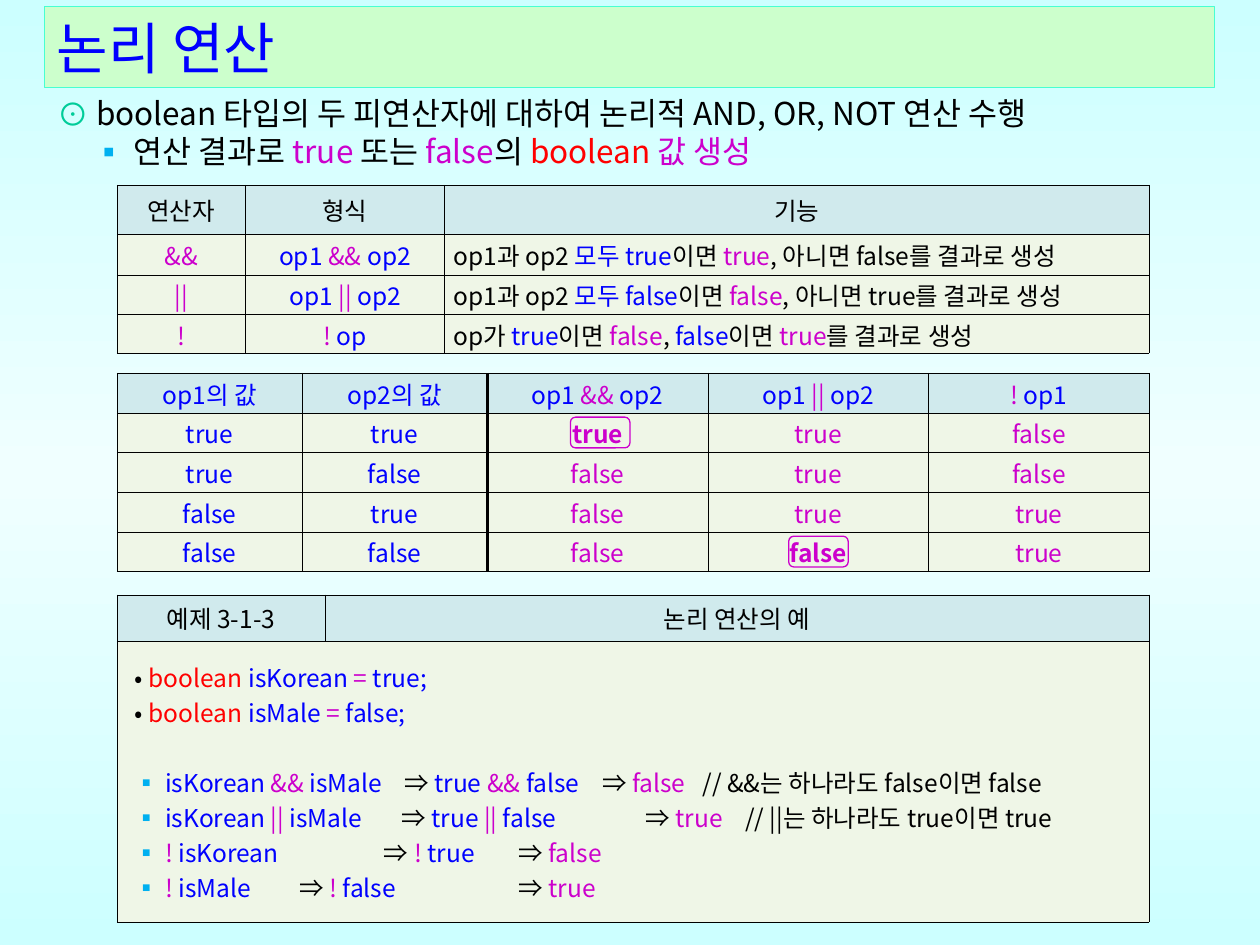
"""Build the lesson slide on logical operators."""
from dataclasses import dataclass
from functools import partial
from typing import NamedTuple, Optional

from lxml.etree import SubElement
from pptx import Presentation
from pptx.dml.color import RGBColor
from pptx.enum.shapes import MSO_SHAPE
from pptx.enum.text import MSO_ANCHOR, MSO_AUTO_SIZE, PP_ALIGN
from pptx.oxml.ns import qn
from pptx.util import Cm, Pt

LEFT, CENTER, JUSTIFY = PP_ALIGN.LEFT, PP_ALIGN.CENTER, PP_ALIGN.JUSTIFY
MIDDLE = MSO_ANCHOR.MIDDLE
NO_AUTOFIT = MSO_AUTO_SIZE.NONE
ROUNDED = MSO_SHAPE.ROUNDED_RECTANGLE


@dataclass(frozen=True)
class Theme:
    font: str = "Noto Sans CJK KR"
    title_size: int = 32
    body_size: int = 18
    table_size: int = 14
    black: str = "000000"
    blue: str = "0000FF"
    magenta: str = "CC00CC"
    red: str = "FF0000"
    green: str = "00CC99"
    sky: str = "00B0F0"
    title_fill: str = "CCFFCC"
    title_line: str = "47FFD1"
    header_fill: str = "D0EAED"
    cell_fill: str = "EFF6E7"
    background: tuple = ("CCFFFF", "F0FFFF", "CCFFFF")
    thin: float = 0.25
    thick: float = 2


THEME = Theme()


class Run(NamedTuple):
    color: str
    text: str
    bold: bool = False


class Bullet(NamedTuple):
    char: str
    color: str
    margin: float
    hanging: float


class Line(NamedTuple):
    runs: list
    align: PP_ALIGN = LEFT
    bullet: Optional[Bullet] = None
    tabs: tuple = ()
    spacing: Optional[int] = None
    before: int = 0


class TableSpec(NamedTuple):
    top: float
    columns: list
    rows: list
    cells: list
    thick_after: Optional[int] = None


black, blue, magenta, red = (
    partial(Run, color) for color in (THEME.black, THEME.blue, THEME.magenta, THEME.red))
DOT = Bullet("•", THEME.black, 0.46, 0.28)
SQUARE = Bullet("▪", THEME.sky, 0.79, 0.61)
TABLE_LEFT = 2.36
TRUTH_TOP, TRUTH_ROW = 7.52, 0.8

BODY = [
    Line([black("boolean 타입의 두 피연산자에 대하여 논리적 AND, OR, NOT 연산 수행")],
         bullet=Bullet("⊙", THEME.green, 0.78, 0.78), spacing=22),
    Line([black("연산 결과로 "), magenta("true "), black("또는 "), magenta("false"),
          black("의 "), red("boolean "), magenta("값 생성")],
         bullet=Bullet("▪", THEME.sky, 1.54, 0.81), spacing=22),
]


def centered(*runs: Run) -> list:
    return [Line(list(runs), CENTER)]


def binary(operator: str) -> list:
    return centered(blue("op1 "), magenta(operator), blue(" op2"))


def rule(operator: str, value: str, other: str) -> list:
    meaning = [black("op1과 op2 "), blue(f"모두 {value}"), black("이면 "), magenta(value),
               black(f", 아니면 {other}를 결과로 생성")]
    return [centered(magenta(operator)), binary(operator), [Line(meaning)]]


def truth_row(first: bool, second: bool) -> list:
    word = {True: "true", False: "false"}
    both, either = first and second, first or second
    return [centered(blue(word[first])), centered(blue(word[second])),
            centered(magenta(word[both], both)),
            centered(magenta(word[either], not either)),
            centered(magenta(word[not first]))]


def declaration(name: str, value: str) -> Line:
    return Line([red("boolean "), blue(f"{name} "), magenta("="), blue(f" {value};")],
                JUSTIFY, DOT, spacing=20)


def evaluation(source: list, step: list, result: str, tabs: tuple,
               note: str = "", before: int = 0) -> Line:
    runs = [*source, black("\t⇒ "), *step, black("\t⇒ "), magenta(result)]
    if note:
        runs.append(black(f"\t{note}"))
    return Line(runs, LEFT, SQUARE, tabs, 20, before)


EXAMPLE = [
    declaration("isKorean", "true"),
    declaration("isMale", "false"),
    evaluation([blue("isKorean "), magenta("&&"), blue(" isMale")],
               [blue("true"), magenta(" && "), blue("false")], "false",
               (5.61, 9.6, 11.62), "// &&는 하나라도 false이면 false", 20),
    evaluation([blue("isKorean "), magenta("||"), blue(" isMale")],
               [blue("true "), magenta("||"), blue(" false")], "true",
               (5.55, 10.47, 12.48), "// ||는 하나라도 true이면 true"),
    evaluation([magenta("! "), blue("isKorean")], [magenta("! "), blue("true")],
               "false", (5.2, 7.91)),
    evaluation([magenta("!"), blue(" isMale")], [magenta("!"), blue(" false")],
               "true", (3.49, 7.91)),
]

OPERATORS = TableSpec(3.73, [2.59, 4.01, 14.2], [0.99, 0.82, 0.79, 0.79], [
    [centered(black(name)) for name in ("연산자", "형식", "기능")],
    rule("&&", "true", "false"),
    rule("||", "false", "true"),
    [centered(magenta("!")), centered(magenta("! "), blue("op")),
     [Line([black("op가 "), blue("true"), black("이면 "), magenta("false"), black(", "),
            blue("false"), black("이면 "), magenta("true"), black("를 결과로 생성")])]],
])
TRUTH = TableSpec(TRUTH_TOP, [3.73, 3.73, 4.45, 4.45, 4.45], [TRUTH_ROW] * 5, [
    [centered(blue("op1의 값")), centered(blue("op2의 값")), binary("&&"), binary("||"),
     centered(magenta("! "), blue("op1"))],
    *(truth_row(first, second) for first in (True, False) for second in (True, False)),
], thick_after=1)
EXAMPLES = TableSpec(11.99, [4.19, 16.61], [0.94, 5.66], [
    [centered(black("예제 3-1-3")), centered(black("논리 연산의 예"))], [EXAMPLE]])


def write(frame, lines: list, size: int) -> None:
    for index, line in enumerate(lines):
        paragraph = frame.add_paragraph() if index else frame.paragraphs[0]
        paragraph.alignment = line.align
        properties = paragraph._p.get_or_add_pPr()
        if line.bullet:
            properties.set("marL", str(Cm(line.bullet.margin)))
            properties.set("indent", str(-Cm(line.bullet.hanging)))
            color = SubElement(properties, qn("a:buClr"))
            SubElement(color, qn("a:srgbClr"), val=line.bullet.color)
            SubElement(properties, qn("a:buFont"), typeface=THEME.font)
            SubElement(properties, qn("a:buChar"), char=line.bullet.char)
        if line.tabs:
            stops = SubElement(properties, qn("a:tabLst"))
            for position in line.tabs:
                SubElement(stops, qn("a:tab"), pos=str(Cm(position)), algn="l")
        if line.spacing:
            paragraph.line_spacing = Pt(line.spacing)
        if line.before:
            paragraph.space_before = Pt(line.before)
        paragraph.font.name, paragraph.font.size = THEME.font, Pt(size)
        defaults = properties.find(qn("a:defRPr"))
        defaults.set("kern", "0")
        SubElement(defaults, qn("a:ea"), typeface=THEME.font)
        for part in line.runs:
            run = paragraph.add_run()
            run.text = part.text
            run.font.color.rgb = RGBColor.from_string(part.color)
            if part.bold:
                run.font.bold = True


def draw_borders(cell, left: float, right: float) -> None:
    properties = cell._tc.get_or_add_tcPr()
    widths = {"a:lnL": left, "a:lnR": right, "a:lnT": THEME.thin, "a:lnB": THEME.thin}
    for index, (tag, width) in enumerate(widths.items()):
        border = SubElement(properties, qn(tag), w=str(Pt(width)))
        fill = SubElement(border, qn("a:solidFill"))
        SubElement(fill, qn("a:srgbClr"), val=THEME.black)
        properties.insert(index, border)


def draw_table(slide, spec: TableSpec) -> None:
    table = slide.shapes.add_table(
        len(spec.rows), len(spec.columns), Cm(TABLE_LEFT), Cm(spec.top),
        Cm(sum(spec.columns)), Cm(sum(spec.rows))).table
    table.first_row = table.horz_banding = False
    for column, width in zip(table.columns, spec.columns):
        column.width = Cm(width)
    for row_index, (row, height) in enumerate(zip(table.rows, spec.rows)):
        row.height = Cm(height)
        for index, cell in enumerate(row.cells):
            cell.fill.solid()
            cell.fill.fore_color.rgb = RGBColor.from_string(
                THEME.cell_fill if row_index else THEME.header_fill)
            cell.vertical_anchor = MIDDLE
            cell.margin_left = cell.margin_right = Cm(0.18)
            cell.margin_top = cell.margin_bottom = Cm(0.05)
            left, right = (THEME.thick if spec.thick_after == edge else THEME.thin
                           for edge in (index - 1, index))
            draw_borders(cell, left, right)
        contents = spec.cells[row_index]
        if len(contents) < len(spec.columns):
            table.cell(row_index, 0).merge(table.cell(row_index, len(spec.columns) - 1))
        for index, lines in enumerate(contents):
            write(table.cell(row_index, index).text_frame, lines, THEME.table_size)


def draw_marker(slide, left: float, row: int) -> None:
    marker = slide.shapes.add_shape(
        ROUNDED, Cm(left), Cm(TRUTH_TOP + row * TRUTH_ROW + 0.09), Cm(1.2), Cm(0.62))
    marker.shadow.inherit = False
    marker.fill.background()
    marker.line.color.rgb = RGBColor.from_string(THEME.magenta)
    marker.line.width = Pt(0.75)


def draw_background(slide) -> None:
    fill = slide.background.fill
    fill.gradient()
    fill.gradient_angle = 90
    stops = next(slide.element.iter(qn("a:gsLst")))
    for stop in list(stops):
        stops.remove(stop)
    for index, color in enumerate(THEME.background):
        stop = SubElement(stops, qn("a:gs"), pos=str(index * 50000))
        SubElement(stop, qn("a:srgbClr"), val=color)


def draw_title(slide) -> None:
    title = slide.shapes.title
    title.left, title.top, title.width, title.height = Cm(0.89), Cm(0.13), Cm(23.6), Cm(1.63)
    title.fill.solid()
    title.fill.fore_color.rgb = RGBColor.from_string(THEME.title_fill)
    title.line.color.rgb = RGBColor.from_string(THEME.title_line)
    title.line.width = Pt(0.75)
    title.text_frame.auto_size = NO_AUTOFIT
    title.text_frame.vertical_anchor = MIDDLE
    write(title.text_frame, [Line([blue("논리 연산")])], THEME.title_size)


def main() -> None:
    presentation = Presentation()
    presentation.slide_width, presentation.slide_height = Cm(25.4), Cm(19.05)
    slide = presentation.slides.add_slide(presentation.slide_layouts[5])
    draw_background(slide)
    draw_title(slide)
    body = slide.shapes.add_textbox(Cm(0.91), Cm(1.75), Cm(23.7), Cm(1.8))
    body.text_frame.word_wrap = True
    write(body.text_frame, BODY, THEME.body_size)
    for spec in (OPERATORS, EXAMPLES, TRUTH):
        draw_table(slide, spec)
    draw_marker(slide, 11.5, 1)
    draw_marker(slide, 15.9, 4)
    presentation.save("out.pptx")


if __name__ == "__main__":
    main()
